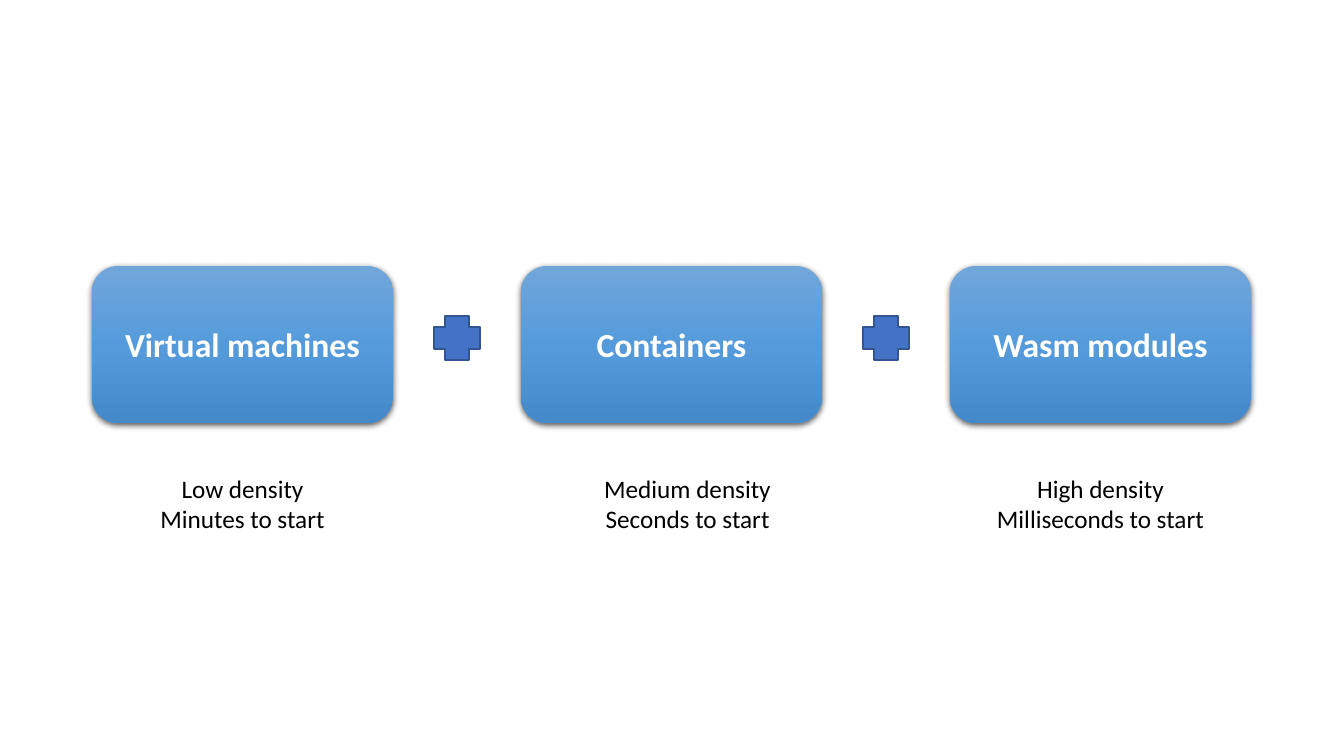
import copy
from dataclasses import dataclass

import lxml.etree
import pptx
import pptx.dml.color
import pptx.enum.shapes
import pptx.enum.text
import pptx.oxml
import pptx.oxml.ns
import pptx.util

EMU_PER_PX = 914400 / 100.8
SHAPES = pptx.enum.shapes.MSO_SHAPE
CENTER = pptx.enum.text.PP_ALIGN.CENTER


@dataclass(frozen=True)
class Theme:
    font: str = "Calibri"
    card_size: int = 24
    caption_size: int = 18
    card_text: str = "FFFFFF"
    caption_text: str = "000000"
    card_stops: tuple = ((0, "71A6DB"), (0.5, "559BDB"), (1, "448ACA"))
    plus_fill: str = "4472C4"
    plus_line: str = "325491"


THEME = Theme()

# Name, caption lines, caption shift in px
STAGES = (
    ("Virtual machines", ("Low density", "Minutes to start"), 0),
    ("Containers", ("Medium density", "Seconds to start"), 16),
    ("Wasm modules", ("High density", "Milliseconds to start"), 0),
)


def px(length):
    return pptx.util.Emu(round(length * EMU_PER_PX))


def place(box):
    return [px(length) for length in box]


def rgb(code):
    return pptx.dml.color.RGBColor.from_string(code)


def write_lines(frame, lines, size, color, bold=False):
    frame.word_wrap = True
    frame.text = "\n".join(lines)
    for para in frame.paragraphs:
        para.alignment = CENTER
        para.font.name = THEME.font
        para.font.size = pptx.util.Pt(size)
        para.font.bold = bold
        para.font.color.rgb = rgb(color)


def fill_gradient(fill, stops):
    fill.gradient()
    fill.gradient_angle = 270
    first = fill._fill._gradFill.find(pptx.oxml.ns.qn("a:gsLst"))[0]
    first.addnext(copy.deepcopy(first))
    for stop, (position, color) in zip(fill.gradient_stops, stops):
        stop.position = position
        stop.color.rgb = rgb(color)


def add_drop_shadow(shape):
    shape.shadow.inherit = False
    effects = shape._element.spPr.find(pptx.oxml.ns.qn("a:effectLst"))
    effects.append(pptx.oxml.parse_xml(
        f'<a:outerShdw {pptx.oxml.ns.nsdecls("a")} blurRad="57150" dist="19050" '
        'dir="5400000" algn="ctr" rotWithShape="0"><a:srgbClr val="000000">'
        '<a:alpha val="63000"/></a:srgbClr></a:outerShdw>'))


def add_card(page, box, name):
    card = page.shapes.add_shape(SHAPES.ROUNDED_RECTANGLE, *place(box))
    fill_gradient(card.fill, THEME.card_stops)
    card.line.fill.background()
    add_drop_shadow(card)
    card.text_frame.vertical_anchor = pptx.enum.text.MSO_ANCHOR.MIDDLE
    write_lines(card.text_frame, [name], THEME.card_size, THEME.card_text, bold=True)


def add_caption(page, box, lines):
    frame = page.shapes.add_textbox(*place(box)).text_frame
    write_lines(frame, lines, THEME.caption_size, THEME.caption_text)
    frame.auto_size = pptx.enum.text.MSO_AUTO_SIZE.SHAPE_TO_FIT_TEXT


def add_plus(page, box):
    plus = page.shapes.add_shape(SHAPES.CROSS, *place(box))
    plus.shadow.inherit = False
    plus.fill.solid()
    plus.fill.fore_color.rgb = rgb(THEME.plus_fill)
    plus.line.color.rgb = rgb(THEME.plus_line)
    plus.line.width = pptx.util.Pt(1)


def add_stages(page, box):
    left, top, width, height = box
    card_width, card_height, caption_height = 301, 157, 72
    pitch = (width - card_width) / (len(STAGES) - 1)
    lefts = [left + index * pitch for index in range(len(STAGES))]

    # Cards with captions below
    for x, (name, lines, shift) in zip(lefts, STAGES):
        add_card(page, (x, top, card_width, card_height), name)
        caption_top = top + height - caption_height
        add_caption(page, (x + shift, caption_top, card_width, caption_height), lines)

    # Plus signs in the gaps
    for x in lefts[:-1]:
        add_plus(page, (x + 342, top + 50, 46, 44))


def main():
    deck = pptx.Presentation()
    deck.slide_width, deck.slide_height = px(1344), px(756)
    page = deck.slides.add_slide(deck.slide_layouts[6])
    add_stages(page, (92, 266, 1159, 274))
    deck.save("out.pptx")


if __name__ == "__main__":
    main()
